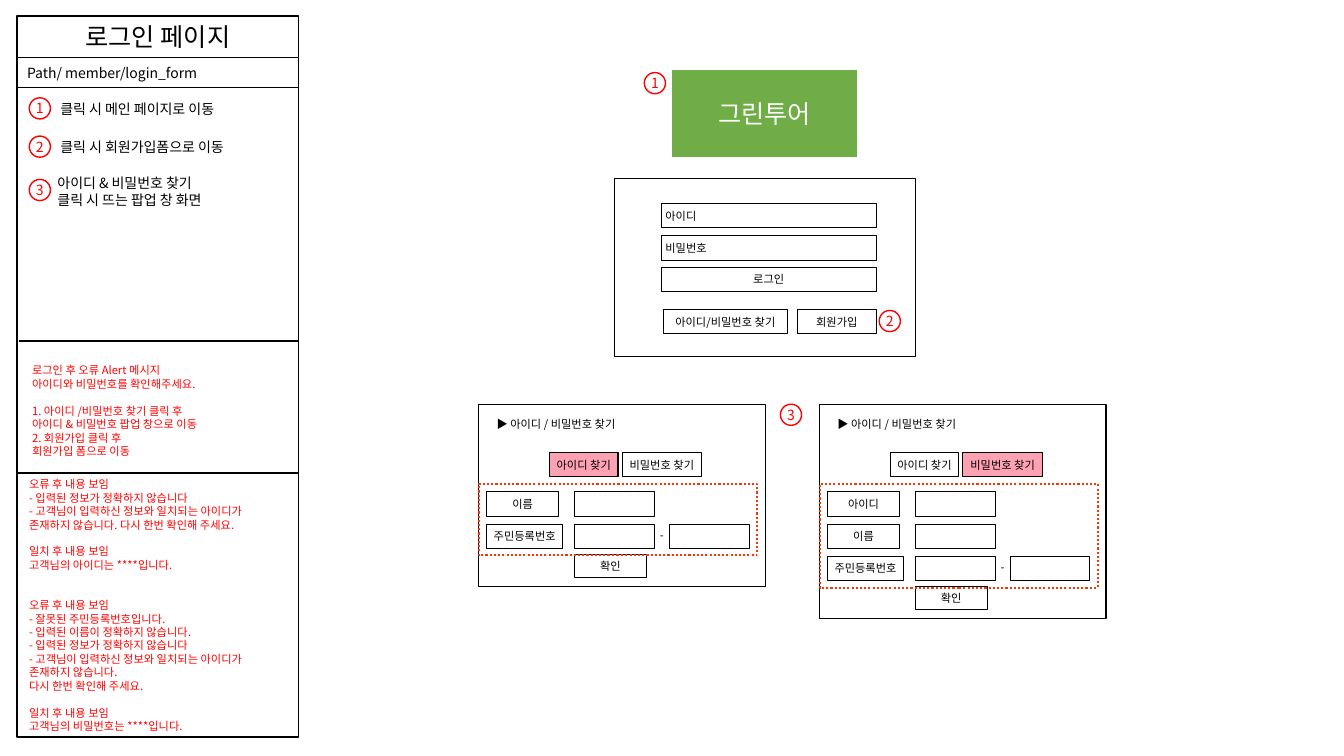
from lxml.etree import SubElement
from pptx import Presentation
from pptx.dml.color import RGBColor
from pptx.enum.dml import MSO_LINE
from pptx.enum.shapes import MSO_CONNECTOR, MSO_SHAPE
from pptx.enum.text import MSO_ANCHOR, MSO_AUTO_SIZE, PP_ALIGN
from pptx.oxml.ns import qn
from pptx.util import Pt

SCALE = 9144
FONT = "Noto Sans CJK KR"
COLORS = {"black": "000000", "white": "FFFFFF", "red": "FF0000",
          "green": "70AD47", "pink": "FDA1B3", "orange": "FF3300"}

TITLE = ("로그인 페이지", (17, 16, 279, 41))
PANEL = (17, 59, 279, 672)
PATH_BAR = ("Path/ member/login_form", (17, 57, 279, 30))
BRAND = ("그린투어", (667, 69, 183, 87))
LOGIN_FRAME = (609, 177, 299, 177)
LOGIN_BOXES = [
    ("아이디", (656, 202, 213, 24), PP_ALIGN.LEFT),
    ("비밀번호", (656, 234, 213, 24), PP_ALIGN.LEFT),
    ("로그인", (656, 265, 213, 24), PP_ALIGN.CENTER),
    ("아이디/비밀번호 찾기", (658, 307, 123, 24), PP_ALIGN.CENTER),
    ("회원가입", (791, 307, 78, 24), PP_ALIGN.CENTER),
]
POPUP_TOP = 401
POPUP_HEADING = "▶ 아이디 / 비밀번호 찾기"
POPUP_TABS = [("아이디 찾기", 70, 68), ("비밀번호 찾기", 142, 79)]
RESIDENT_NUMBER = "주민등록번호"
POPUPS = [
    (475, "아이디 찾기", ["이름", RESIDENT_NUMBER]),
    (813, "비밀번호 찾기", ["아이디", "이름", RESIDENT_NUMBER]),
]
GUIDES = [
    ("클릭 시 메인 페이지로 이동", (50, 95, 198, 27), 10),
    ("클릭 시 회원가입폼으로 이동", (50, 132, 219, 27), 10),
    ("아이디 & 비밀번호 찾기\v클릭 시 뜨는 팝업 창 화면", (53, 168, 173, 44), 4),
]
ALERT_NOTES = [
    (0, "로그인 후 오류 Alert 메시지"),
    (0, "아이디와 비밀번호를 확인해주세요."),
    (1, "1. 아이디 /비밀번호 찾기 클릭 후\v아이디 & 비밀번호 팝업 창으로 이동"),
    (0, "2. 회원가입 클릭 후\v회원가입 폼으로 이동"),
]
RESULT_NOTES = [
    (0, "오류 후 내용 보임"),
    (0, "- 입력된 정보가 정확하지 않습니다"),
    (0, "- 고객님이 입력하신 정보와 일치되는 아이디가\v존재하지 않습니다. 다시 한번 확인해 주세요."),
    (1, "일치 후 내용 보임\v고객님의 아이디는 ****입니다."),
    (2, "오류 후 내용 보임"),
    (0, "- 잘못된 주민등록번호입니다.\v- 입력된 이름이 정확하지 않습니다."),
    (0, "- 입력된 정보가 정확하지 않습니다"),
    (0, "- 고객님이 입력하신 정보와 일치되는 아이디가\v존재하지 않습니다."),
    (0, "다시 한번 확인해 주세요."),
    (1, "일치 후 내용 보임"),
    (0, "고객님의 비밀번호는 ****입니다."),
]
NOTES = [(ALERT_NOTES, (22, 356, 263, 104)), (RESULT_NOTES, (19, 469, 270, 283))]
NOTE_LINE = 9.6
DIVIDERS = [(17, 469, 296, 469), (19, 338, 296, 338)]
BADGE_SIZE = 21
BADGES = [("1", 29, 97), ("1", 639, 72), ("2", 29, 135),
          ("3", 29, 178), ("2", 872, 308), ("3", 774, 401)]


def emu(values):
    return [value * SCALE for value in values]


def color(name):
    return RGBColor.from_string(COLORS[name])


def write(shape, paragraphs, size=8, ink="black", align=PP_ALIGN.LEFT,
          anchor=MSO_ANCHOR.MIDDLE, inset=(4, 5), wrap=True):
    frame = shape.text_frame
    frame.auto_size = MSO_AUTO_SIZE.NONE
    frame.word_wrap = wrap
    frame.vertical_anchor = anchor
    frame.margin_left = frame.margin_right = inset[0] * SCALE
    frame.margin_top = frame.margin_bottom = inset[1] * SCALE
    for index, (gap, text) in enumerate(paragraphs):
        paragraph = frame.add_paragraph() if index else frame.paragraphs[0]
        paragraph.text = text
        paragraph.alignment = align
        if gap:
            paragraph.space_before = Pt(gap * NOTE_LINE)
        font = paragraph.font
        font.size = Pt(size)
        font.color.rgb = color(ink)
        font.name = FONT
        properties = paragraph._p.pPr.find(qn("a:defRPr"))
        SubElement(properties, qn("a:ea")).set("typeface", FONT)


def paint(shape, fill, line, width):
    if fill:
        shape.fill.solid()
        shape.fill.fore_color.rgb = color(fill)
    else:
        shape.fill.background()
    if line:
        shape.line.color.rgb = color(line)
        shape.line.width = Pt(width)
    else:
        shape.line.fill.background()


def add_box(shapes, area, text="", fill=None, line="black", width=0.75,
            kind=MSO_SHAPE.RECTANGLE, **style):
    shape = shapes.add_shape(kind, *emu(area))
    shape.shadow.inherit = False
    paint(shape, fill, line, width)
    if text:
        write(shape, [(0, text)], **style)
    return shape


def add_text(shapes, area, paragraphs, **style):
    write(shapes.add_textbox(*emu(area)), paragraphs, **style)


def add_popup(slide, left, active_tab, labels):
    shapes = slide.shapes.add_group_shape().shapes
    row_top, pitch, height = POPUP_TOP + 87, 32, 24
    rows_height = pitch * len(labels)
    centered = {"align": PP_ALIGN.CENTER, "wrap": False}
    add_box(shapes, (left, POPUP_TOP, 284, rows_height + 117))
    add_text(shapes, (left + 8, POPUP_TOP + 8, 137, 23), [(0, POPUP_HEADING)], **centered)
    for text, offset, width in POPUP_TABS:
        add_box(shapes, (left + offset, POPUP_TOP + 48, width, height), text,
                fill="pink" if text == active_tab else None, **centered)
    for index, label in enumerate(labels):
        top = row_top + index * pitch
        is_number = label == RESIDENT_NUMBER
        add_box(shapes, (left + 8, top, 75 if is_number else 71, height), label, **centered)
        add_box(shapes, (left + 95, top, 79, height))
        if is_number:
            add_box(shapes, (left + 189, top, 79, height))
            add_text(shapes, (left + 173, top - 1, 17, height), [(0, "-")], **centered)
    add_box(shapes, (left + 95, row_top + rows_height - 2, 71, 23), "확인", **centered)
    outline = add_box(shapes, (left, row_top - 8, 276, rows_height + 7),
                      line="orange", width=1.5)
    outline.line.dash_style = MSO_LINE.ROUND_DOT


def add_divider(slide, ends):
    divider = slide.shapes.add_connector(MSO_CONNECTOR.STRAIGHT, *emu(ends))
    divider.line.color.rgb = color("black")
    divider.line.width = Pt(1.5)
    SubElement(divider._element.spPr, qn("a:effectLst"))


def main():
    presentation = Presentation()
    presentation.slide_width, presentation.slide_height = emu((1333, 750))
    slide = presentation.slides.add_slide(presentation.slide_layouts[5])
    shapes = slide.shapes

    title = shapes.title
    title.left, title.top, title.width, title.height = emu(TITLE[1])
    paint(title, "white", "black", 1)
    write(title, [(0, TITLE[0])], size=18, align=PP_ALIGN.CENTER, inset=(10, 5))

    add_box(shapes, PANEL, fill="white", width=1)
    add_box(shapes, BRAND[1], BRAND[0], fill="green", line=None, size=18, ink="white",
            kind=MSO_SHAPE.FLOWCHART_PROCESS, align=PP_ALIGN.CENTER)
    add_box(shapes, LOGIN_FRAME)
    for text, area, align in LOGIN_BOXES:
        add_box(shapes, area, text, align=align)
    for popup in POPUPS:
        add_popup(slide, *popup)
    add_box(shapes, PATH_BAR[1], PATH_BAR[0], fill="white", width=1, size=10, inset=(10, 5))
    for text, area, inset in GUIDES:
        add_text(shapes, area, [(0, text)], size=10, inset=(inset, 5), wrap=False)
    for paragraphs, area in NOTES:
        add_text(shapes, area, paragraphs, ink="red", anchor=MSO_ANCHOR.TOP, inset=(10, 5))
    for ends in DIVIDERS:
        add_divider(slide, ends)
    for number, left, top in BADGES:
        add_box(shapes, (left, top, BADGE_SIZE, BADGE_SIZE), number, fill="white",
                line="red", width=1, kind=MSO_SHAPE.OVAL, size=10, ink="red",
                align=PP_ALIGN.CENTER, inset=(0, 0), wrap=False)
    presentation.save("out.pptx")


if __name__ == "__main__":
    main()
